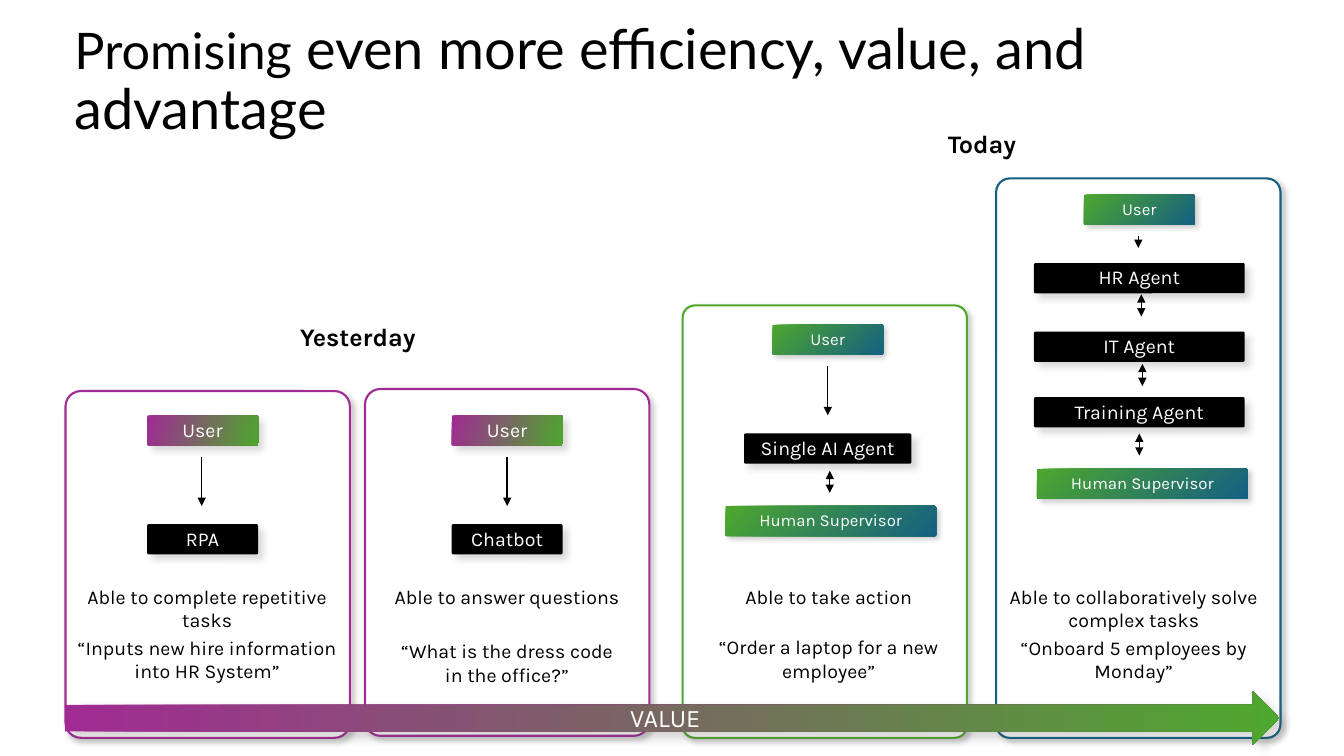
import pptx
import pptx.util
from lxml import etree
from pptx.dml.color import RGBColor
from pptx.enum.shapes import MSO_CONNECTOR, MSO_SHAPE
from pptx.enum.text import MSO_ANCHOR, PP_ALIGN
from pptx.oxml.ns import qn
from pptx.util import Inches, Pt

BLACK = RGBColor(0x00, 0x00, 0x00)
WHITE = RGBColor(0xFF, 0xFF, 0xFF)
GRAY = RGBColor(0x45, 0x41, 0x42)
PURPLE = RGBColor(0xA0, 0x2B, 0x93)
GREEN = RGBColor(0x4E, 0xA7, 0x2E)
BLUE = RGBColor(0x15, 0x60, 0x82)

SLIDE_WIDTH, SLIDE_HEIGHT = 13.33, 7.5
CARD_WIDTH, NODE_HEIGHT = 2.82, 0.3
LEFT, FULL_WIDTH = 0.64, 12.05
BODY_TOP = 5.8

presentation = pptx.Presentation()
presentation.slide_width = Inches(SLIDE_WIDTH)
presentation.slide_height = Inches(SLIDE_HEIGHT)
slide = presentation.slides.add_slide(presentation.slide_layouts[6])


def add_block(preset, box, colors, shadow, angle=0, outline=None):
    """Add a shadowed shape; two colors make a gradient."""
    shape = slide.shapes.add_shape(preset, *map(Inches, box))
    if len(colors) == 2:
        shape.fill.gradient()
        shape.fill.gradient_angle = angle
        for stop, color in zip(shape.fill.gradient_stops, colors):
            stop.color.rgb = color
    else:
        shape.fill.solid()
        shape.fill.fore_color.rgb = colors[0]
    if outline is None:
        shape.line.fill.background()
    else:
        shape.line.color.rgb = outline
        shape.line.width = Pt(1.5)
    shape.shadow.inherit = False
    color, blur, distance = shadow
    effects = shape._element.spPr.find(qn("a:effectLst"))
    outer = etree.SubElement(
        effects, qn("a:outerShdw"), blurRad=str(Pt(blur)), dist=str(Pt(distance)),
        dir=str(45 * 60000), algn="tl", rotWithShape="0")
    tint = etree.SubElement(outer, qn("a:srgbClr"), val=str(color))
    etree.SubElement(tint, qn("a:alpha"), val="20000")
    return shape


def write(shape, paragraphs, size, color=BLACK, bold=False, gap=0, insets=(0.1, 0.05, 0.1, 0.05)):
    """Write centered paragraphs, with a gap in points between them."""
    frame = shape.text_frame
    frame.word_wrap = True
    (frame.margin_left, frame.margin_top,
     frame.margin_right, frame.margin_bottom) = map(Inches, insets)
    for index, text in enumerate(paragraphs):
        paragraph = frame.add_paragraph() if index else frame.paragraphs[0]
        paragraph.alignment = PP_ALIGN.CENTER
        if index:
            paragraph.space_before = Pt(gap)
        for number, line in enumerate(text.split("\n")):
            if number:
                paragraph.add_line_break()
            run = paragraph.add_run()
            run.text = line
            run.font.name = "Karla"
            run.font.size = Pt(size)
            run.font.bold = bold
            run.font.color.rgb = color


SOFT_SHADOW = (BLACK, 4, 3)
WIDE_SHADOW = (GRAY, 5, 5)
LABEL_INSETS = (0.1, 0.02, 0.1, 0.04)

# Cards: left, top, bottom, corner, outline
for left, top, bottom, corner, outline in (
    (0.65, 3.88, 7.32, 0.054, PURPLE),
    (3.62, 3.86, 7.3, 0.054, PURPLE),
    (6.77, 3.03, 7.32, 0.043, GREEN),
    (9.88, 1.77, 7.32, 0.048, BLUE),
):
    card = add_block(MSO_SHAPE.ROUNDED_RECTANGLE, (left, top, CARD_WIDTH, bottom - top),
                     [WHITE], SOFT_SHADOW, outline=outline)
    card.adjustments[0] = corner

# Title
title = slide.shapes.add_textbox(*map(Inches, (LEFT, 0.15, FULL_WIDTH, 1.31)))
title.text_frame.word_wrap = True
title.text_frame.vertical_anchor = MSO_ANCHOR.MIDDLE
title_paragraph = title.text_frame.paragraphs[0]
title_paragraph.line_spacing = 0.9
for text, size in (("Promising", 36), (" even more efficiency, value, and advantage", 40)):
    run = title_paragraph.add_run()
    run.text = text
    run.font.name = "Lato"
    run.font.size = Pt(size)
    run.font.color.rgb = BLACK

# Value arrow
value_arrow = add_block(MSO_SHAPE.RIGHT_ARROW, (LEFT, 6.86, FULL_WIDTH, 0.53),
                        [PURPLE, GREEN], WIDE_SHADOW)
value_arrow.text_frame.vertical_anchor = MSO_ANCHOR.MIDDLE
write(value_arrow, ["VALUE"], 18, WHITE, insets=LABEL_INSETS)

# Era headings
for heading, left, top in (("Yesterday", 2.85, 3.14), ("Today", 9.04, 1.22)):
    box = slide.shapes.add_textbox(*map(Inches, (left, top, 1.4, 0.4)))
    write(box, [heading], 18, bold=True)

# Flow nodes: label, center, top, width, style
STYLES = {
    "past": ([PURPLE, GREEN], WIDE_SHADOW, 14, 345),
    "human": ([GREEN, BLUE], SOFT_SHADOW, 12, 315),
    "agent": ([BLACK], WIDE_SHADOW, 14, 0),
}
for label, center, top, width, style in (
    ("User", 2.01, 4.12, 1.1, "past"),
    ("RPA", 2.01, 5.2, 1.1, "agent"),
    ("User", 5.03, 4.12, 1.1, "past"),
    ("Chatbot", 5.03, 5.2, 1.1, "agent"),
    ("User", 8.21, 3.22, 1.1, "human"),
    ("Single AI Agent", 8.21, 4.3, 1.66, "agent"),
    ("Human Supervisor", 8.24, 5.02, 2.09, "human"),
    ("User", 11.3, 1.93, 1.1, "human"),
    ("HR Agent", 11.3, 2.61, 2.09, "agent"),
    ("IT Agent", 11.3, 3.29, 2.09, "agent"),
    ("Training Agent", 11.3, 3.94, 2.09, "agent"),
    ("Human Supervisor", 11.33, 4.65, 2.09, "human"),
):
    colors, shadow, size, angle = STYLES[style]
    node = add_block(MSO_SHAPE.ROUNDED_RECTANGLE, (center - width / 2, top, width, NODE_HEIGHT),
                     colors, shadow, angle)
    node.adjustments[0] = 0.054
    node.text_frame.vertical_anchor = MSO_ANCHOR.MIDDLE
    write(node, [label], size, WHITE, insets=LABEL_INSETS)

# Flow arrows: x, top, length, arrowheads
ONE_WAY, TWO_WAY = ("tailEnd",), ("headEnd", "tailEnd")
for x, top, length, ends in (
    (2, 4.53, 0.49, ONE_WAY),
    (5.03, 4.53, 0.49, ONE_WAY),
    (8.21, 3.63, 0.49, ONE_WAY),
    (8.23, 4.67, 0.22, TWO_WAY),
    (11.29, 2.34, 0.12, ONE_WAY),
    (11.32, 2.92, 0.22, TWO_WAY),
    (11.33, 3.61, 0.22, TWO_WAY),
    (11.3, 4.3, 0.22, TWO_WAY),
):
    connector = slide.shapes.add_connector(
        MSO_CONNECTOR.STRAIGHT, *map(Inches, (x, top, x, top + length)))
    connector.line.color.rgb = BLACK
    connector.line.width = Pt(1)
    for end in ends:
        etree.SubElement(connector.line._get_or_add_ln(), qn("a:" + end), type="triangle")
    etree.SubElement(connector._element.spPr, qn("a:effectLst"))

# Descriptions: left, width, gap, ability, example
for left, width, gap, ability, example in (
    (0.64, 2.83, 2.8, "Able to complete repetitive tasks",
     "“Inputs new hire information into HR System”"),
    (3.91, 2.24, 22, "Able to answer questions",
     "“What is the dress code\nin the office?”"),
    (7.1, 2.24, 19.2, "Able to take action",
     "“Order a laptop for a new employee”"),
    (9.92, 2.65, 2.8, "Able to collaboratively solve complex tasks",
     "“Onboard 5 employees by Monday”"),
):
    description = slide.shapes.add_textbox(*map(Inches, (left, BODY_TOP, width, 1)))
    write(description, [ability, example], 14, gap=gap, insets=(0, 0, 0, 0))

presentation.save("out.pptx")
